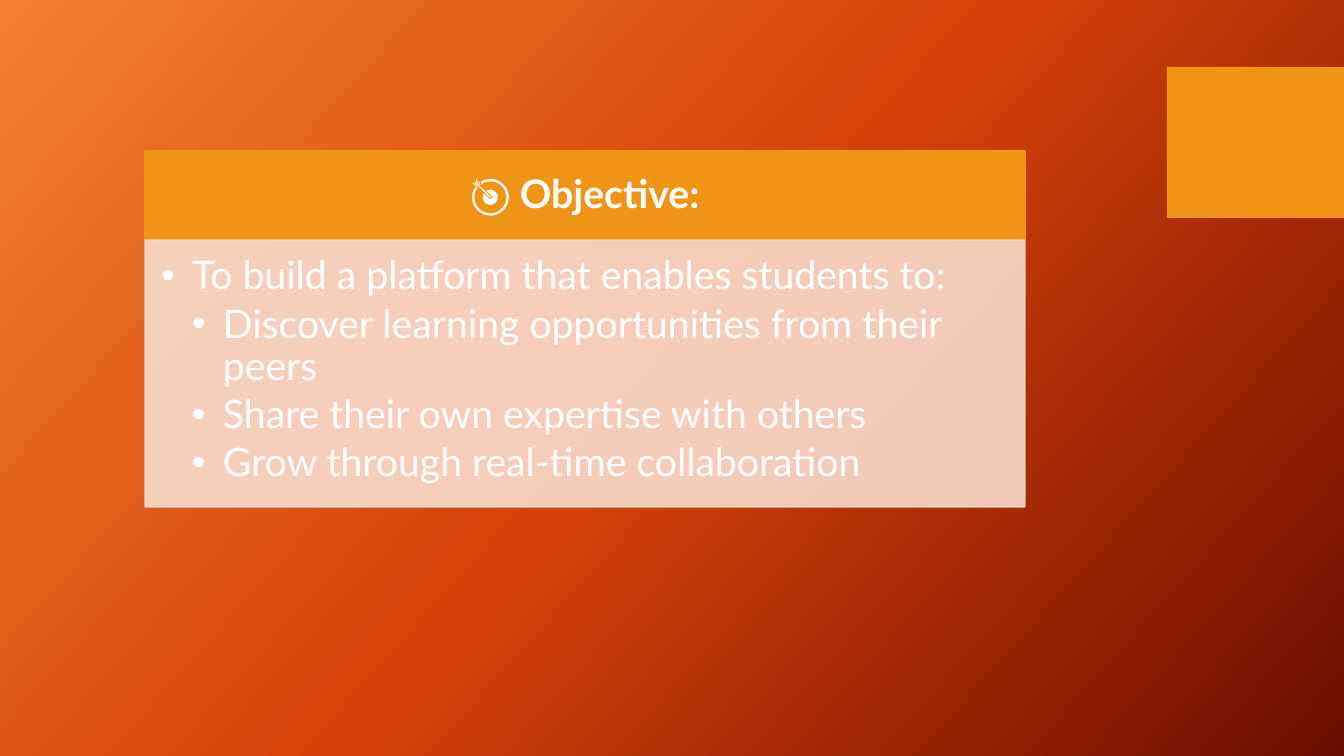
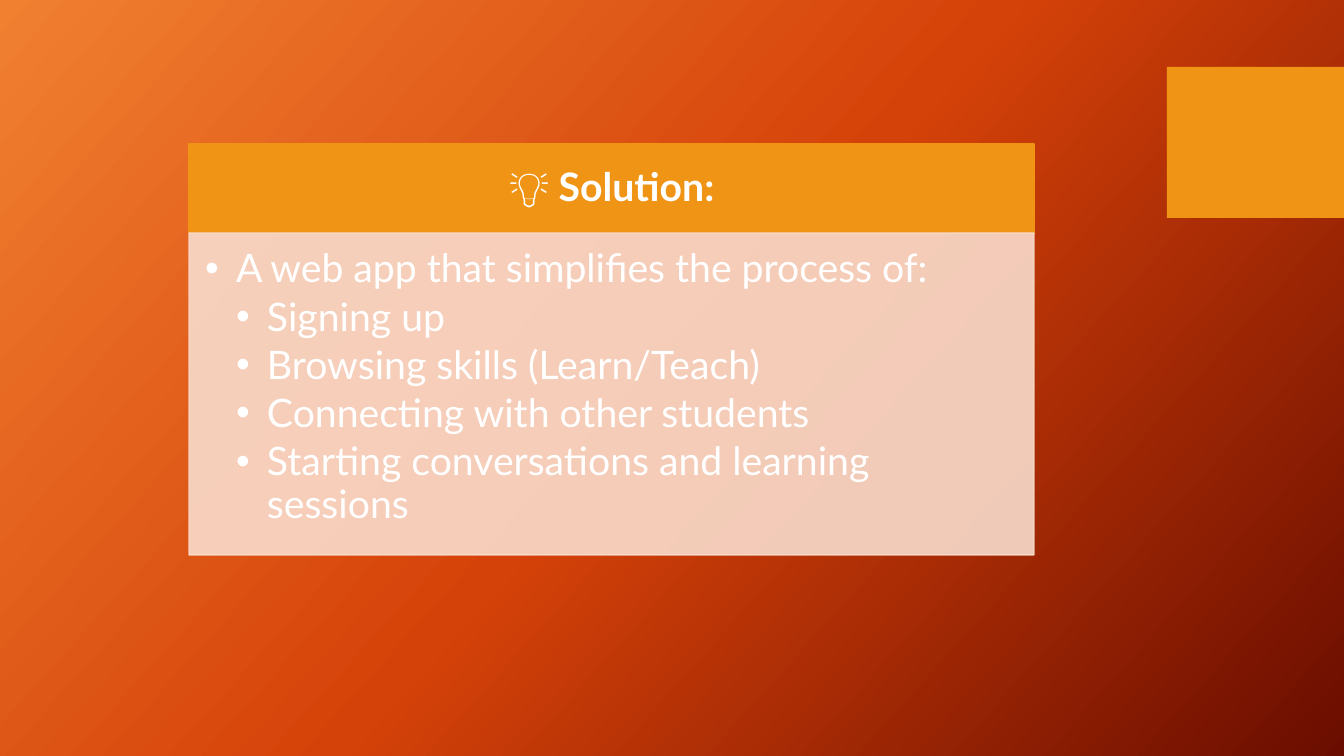
from pptx import Presentation
from pptx.dml.color import RGBColor
from pptx.enum.shapes import MSO_SHAPE
from pptx.enum.text import MSO_ANCHOR, MSO_AUTO_SIZE, PP_ALIGN
from pptx.oxml.ns import qn
from pptx.util import Pt
from lxml import etree

PX = 914400 / 100.8
W, H = 1344, 756
RECT = MSO_SHAPE.RECTANGLE
TOP, MIDDLE = MSO_ANCHOR.TOP, MSO_ANCHOR.MIDDLE
LEFT, CENTER = PP_ALIGN.LEFT, PP_ALIGN.CENTER
NO_FIT = MSO_AUTO_SIZE.NONE
TITLE_ONLY = 5
FONT, SIZE = "Lato", 28
BAND_H, INDENT = 89, 31
TAB_BOX = (1167, 67, 177, 151)
COLORS = {"accent": "F09415", "panel": "F9DCCC", "text": "FFFFFF",
          "start": "F18031", "middle": "D54209", "end": "6A0D00"}
STOPS = [(0, "start"), (50, "middle"), (100, "end")]
SLIDES = [
    ((145, 151, 880, 356), "🎯 Objective:",
     [(0, "To build a platform that enables students to:"),
      (1, "Discover learning opportunities from their peers"),
      (1, "Share their own expertise with others"),
      (1, "Grow through real-time collaboration")]),
    ((189, 144, 845, 411), "💡 Solution:",
     [(0, "A web app that simplifies the process of:"),
      (1, "Signing up"),
      (1, "Browsing skills (Learn/Teach)"),
      (1, "Connecting with other students"),
      (1, "Starting conversations and learning sessions")]),
]


def px(n):
    """Turn pixels into EMU."""
    return round(n * PX)


def rgb(name):
    """Look up a named colour."""
    return RGBColor.from_string(COLORS[name])


def set_background(master):
    """Give every slide the three-stop diagonal gradient."""
    fill = master.background.fill
    fill.gradient()
    fill.gradient_angle = 360 - 42
    stops = master.element.find(".//" + qn("a:gsLst"))
    for old in list(stops):
        stops.remove(old)
    for pos, name in STOPS:
        gs = etree.SubElement(stops, qn("a:gs"), pos=str(pos * 1000))
        etree.SubElement(gs, qn("a:srgbClr"), val=COLORS[name])


def place(sp, box):
    """Move a shape to a pixel box."""
    sp.left, sp.top, sp.width, sp.height = map(px, box)


def paint(sp, name, alpha=100):
    """Fill and outline a shape in one colour."""
    sp.fill.solid()
    sp.fill.fore_color.rgb = rgb(name)
    sp.line.color.rgb = rgb(name)
    sp.line.width = Pt(1)
    if alpha < 100:
        for clr in sp.element.spPr.iter(qn("a:srgbClr")):
            etree.SubElement(clr, qn("a:alpha"), val=str(alpha * 1000))


def add_rect(s, box):
    """Add a plain rectangle without a shadow."""
    sp = s.shapes.add_shape(RECT, 0, 0, 0, 0)
    place(sp, box)
    sp.shadow.inherit = False
    return sp


def set_frame(tf, anchor, insets):
    """Set wrapping, anchor and insets of a text frame."""
    tf.word_wrap = True
    tf.auto_size = NO_FIT
    tf.vertical_anchor = anchor
    tf.margin_left, tf.margin_top, tf.margin_right, tf.margin_bottom = map(px, insets)


def add_text(p, text, align, bold=False):
    """Add one run in the shared text style."""
    p.alignment = align
    p.line_spacing = 0.9
    r = p.add_run()
    r.text = text
    r.font.name, r.font.size, r.font.bold = FONT, Pt(SIZE), bold
    r.font.color.rgb = rgb("text")


def add_bullet(p, level):
    """Give a paragraph a hanging bullet for its level."""
    p.level = level
    p.space_after = Pt(SIZE * 0.15)
    pPr = p._p.get_or_add_pPr()
    pPr.set("marL", str(px(INDENT * (level + 1))))
    pPr.set("indent", str(-px(INDENT)))
    etree.SubElement(pPr, qn("a:buFont"), typeface="Arial")
    etree.SubElement(pPr, qn("a:buChar"), char="•")


def add_band(s, box, text):
    """Turn the title placeholder into the heading band."""
    sp = s.shapes.title
    place(sp, box)
    paint(sp, "accent")
    set_frame(sp.text_frame, MIDDLE, (22, 12, 22, 12))
    add_text(sp.text_frame.paragraphs[0], text, CENTER, True)


def add_panel(s, box, items):
    """Add the translucent panel with its bullet list."""
    sp = add_rect(s, box)
    paint(sp, "panel", 90)
    tf = sp.text_frame
    set_frame(tf, TOP, (16, 16, 22, 24))
    for i, (level, text) in enumerate(items):
        p = tf.add_paragraph() if i else tf.paragraphs[0]
        add_text(p, text, LEFT)
        add_bullet(p, level)


def add_tab(s):
    """Add the accent block at the right edge."""
    sp = add_rect(s, TAB_BOX)
    paint(sp, "accent")
    sp.line.fill.background()


def add_card_slide(prs, box, heading, items):
    """Add a slide with a heading band above a list panel."""
    s = prs.slides.add_slide(prs.slide_layouts[TITLE_ONLY])
    x, y, w, h = box
    add_tab(s)
    add_band(s, (x, y, w, BAND_H), heading)
    add_panel(s, (x, y + BAND_H, w, h - BAND_H), items)


def main():
    """Build and save the presentation."""
    prs = Presentation()
    prs.slide_width, prs.slide_height = px(W), px(H)
    set_background(prs.slide_master)
    for box, heading, items in SLIDES:
        add_card_slide(prs, box, heading, items)
    prs.save("out.pptx")


if __name__ == "__main__":
    main()
